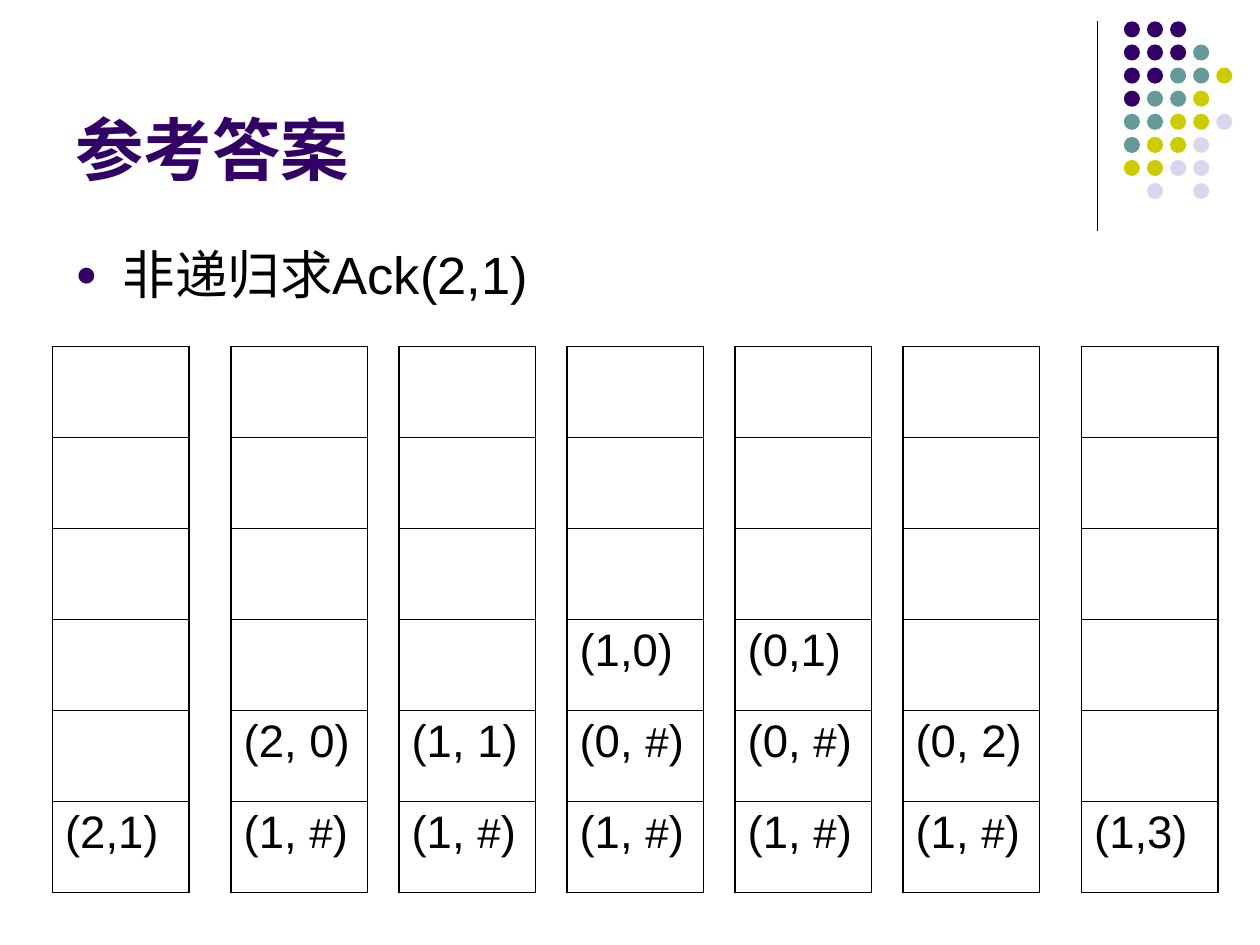
from lxml import etree
from pptx import Presentation
from pptx.dml.color import RGBColor
from pptx.enum.shapes import MSO_CONNECTOR, MSO_SHAPE
from pptx.enum.text import MSO_ANCHOR, MSO_AUTO_SIZE, PP_ALIGN
from pptx.oxml.ns import qn
from pptx.util import Pt

OVAL = MSO_SHAPE.OVAL
STRAIGHT = MSO_CONNECTOR.STRAIGHT
BOTTOM = MSO_ANCHOR.BOTTOM
NO_FIT = MSO_AUTO_SIZE.NONE
LEFT = PP_ALIGN.LEFT

COLORS = {
    "purple": "330066",
    "teal": "669999",
    "yellow": "CCCC00",
    "lavender": "D8D8EC",
    "black": "000000",
}
FONT = "Arial"

TITLE = "参考答案"
BULLET = "非递归求Ack(2,1)"
STACKS = [
    (30, ["(2,1)"]),
    (132, ["(1, #)", "(2, 0)"]),
    (228, ["(1, #)", "(1, 1)"]),
    (324, ["(1, #)", "(0, #)", "(1,0)"]),
    (420, ["(1, #)", "(0, #)", "(0,1)"]),
    (516, ["(1, #)", "(0, 2)"]),
    (618, ["(1,3)"]),
]
STACK_TOP, STACK_ROWS, CELL_W, CELL_H = 198, 6, 78, 52
OUTER, INNER = 1.08, 0.45

DOTS = ["PPP", "PPPT", "PPTTY", "PTTY", "TTYYL", "TYYL", "YYLL", " L L"]
DOT_COLORS = {"P": "purple", "T": "teal", "Y": "yellow", "L": "lavender"}
DOT_LEFT, DOT_TOP, DOT_PITCH, DOT_SIZE = 642.2, 12.2, 13.2, 9.2


def rgb(name):
    return RGBColor.from_string(COLORS[name])


def add_text(p, text, size, color="black", bold=False):
    r = p.add_run()
    r.text = text
    r.font.name = FONT
    r.font.size = Pt(size)
    r.font.bold = bold
    r.font.color.rgb = rgb(color)


def add_bullet(p, char, color, percent, indent):
    pPr = p._p.get_or_add_pPr()
    pPr.set("marL", str(Pt(indent)))
    pPr.set("indent", str(-Pt(indent)))
    clr = etree.SubElement(pPr, qn("a:buClr"))
    etree.SubElement(clr, qn("a:srgbClr"), val=COLORS[color])
    etree.SubElement(pPr, qn("a:buSzPct"), val=str(percent * 1000))
    etree.SubElement(pPr, qn("a:buFont"), typeface=FONT)
    etree.SubElement(pPr, qn("a:buChar"), char=char)


def set_borders(cell, widths):
    tcPr = cell._tc.get_or_add_tcPr()
    for i, (side, width) in enumerate(widths.items()):
        ln = etree.Element(qn(f"a:ln{side}"), w=str(Pt(width)))
        fill = etree.SubElement(ln, qn("a:solidFill"))
        etree.SubElement(fill, qn("a:srgbClr"), val=COLORS["black"])
        tcPr.insert(i, ln)


def add_dots(s):
    for row, line in enumerate(DOTS):
        for col, key in enumerate(line):
            if key == " ":
                continue
            dot = s.shapes.add_shape(
                OVAL, Pt(DOT_LEFT + col * DOT_PITCH), Pt(DOT_TOP + row * DOT_PITCH),
                Pt(DOT_SIZE), Pt(DOT_SIZE))
            dot.shadow.inherit = False
            dot.fill.solid()
            dot.fill.fore_color.rgb = rgb(DOT_COLORS[key])
            dot.line.fill.background()


def add_stack(s, left, items):
    table = s.shapes.add_table(STACK_ROWS, 1, Pt(left), Pt(STACK_TOP),
                               Pt(CELL_W), Pt(CELL_H * STACK_ROWS)).table
    table.first_row = table.horz_banding = False
    for row in range(STACK_ROWS):
        cell = table.cell(row, 0)
        cell.fill.background()
        set_borders(cell, {
            "L": OUTER,
            "R": OUTER,
            "T": OUTER if row == 0 else INNER,
            "B": OUTER if row == STACK_ROWS - 1 else INNER,
        })
        level = STACK_ROWS - 1 - row
        if level < len(items):
            p = cell.text_frame.paragraphs[0]
            for part in items[level].partition("#"):
                if part:
                    add_text(p, part, 24 if part == "#" else 26)


def main():
    prs = Presentation()
    prs.slide_width, prs.slide_height = Pt(720), Pt(540)
    s = prs.slides.add_slide(prs.slide_layouts[5])

    rule = s.shapes.add_connector(STRAIGHT, Pt(627), Pt(12), Pt(627), Pt(132))
    rule.line.color.rgb = rgb("black")
    rule.line.width = Pt(0.75)
    etree.SubElement(rule._element.spPr, qn("a:effectLst"))
    add_dots(s)

    title = s.shapes.title
    title.left, title.top, title.width, title.height = Pt(36), Pt(9.5), Pt(594), Pt(102)
    tf = title.text_frame
    tf.auto_size = NO_FIT
    tf.vertical_anchor = BOTTOM
    p = tf.paragraphs[0]
    p.alignment = LEFT
    add_text(p, TITLE, 39, color="purple", bold=True)

    body = s.shapes.add_textbox(Pt(36), Pt(135), Pt(648), Pt(347))
    body.text_frame.word_wrap = True
    p = body.text_frame.paragraphs[0]
    add_bullet(p, "●", "purple", 70, 27)
    add_text(p, BULLET, 30)

    for left, items in STACKS:
        add_stack(s, left, items)

    prs.save("out.pptx")


if __name__ == "__main__":
    main()
